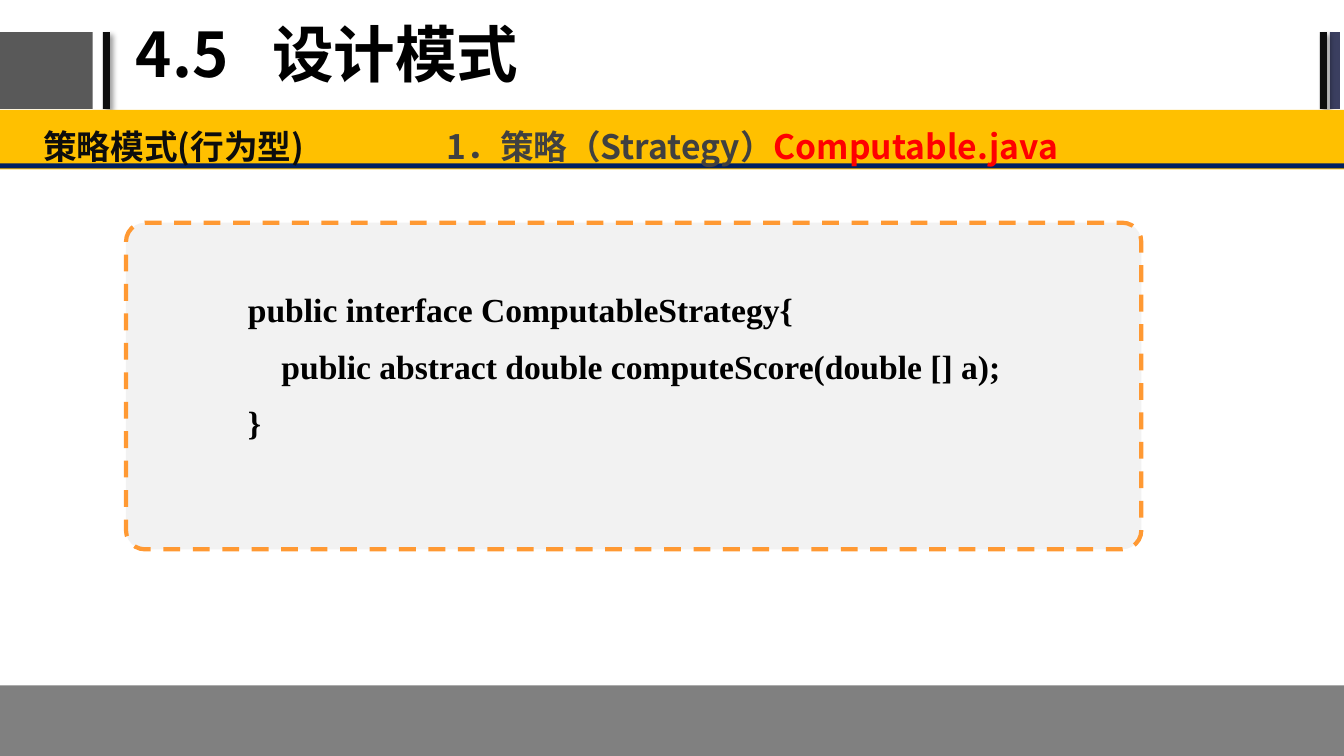
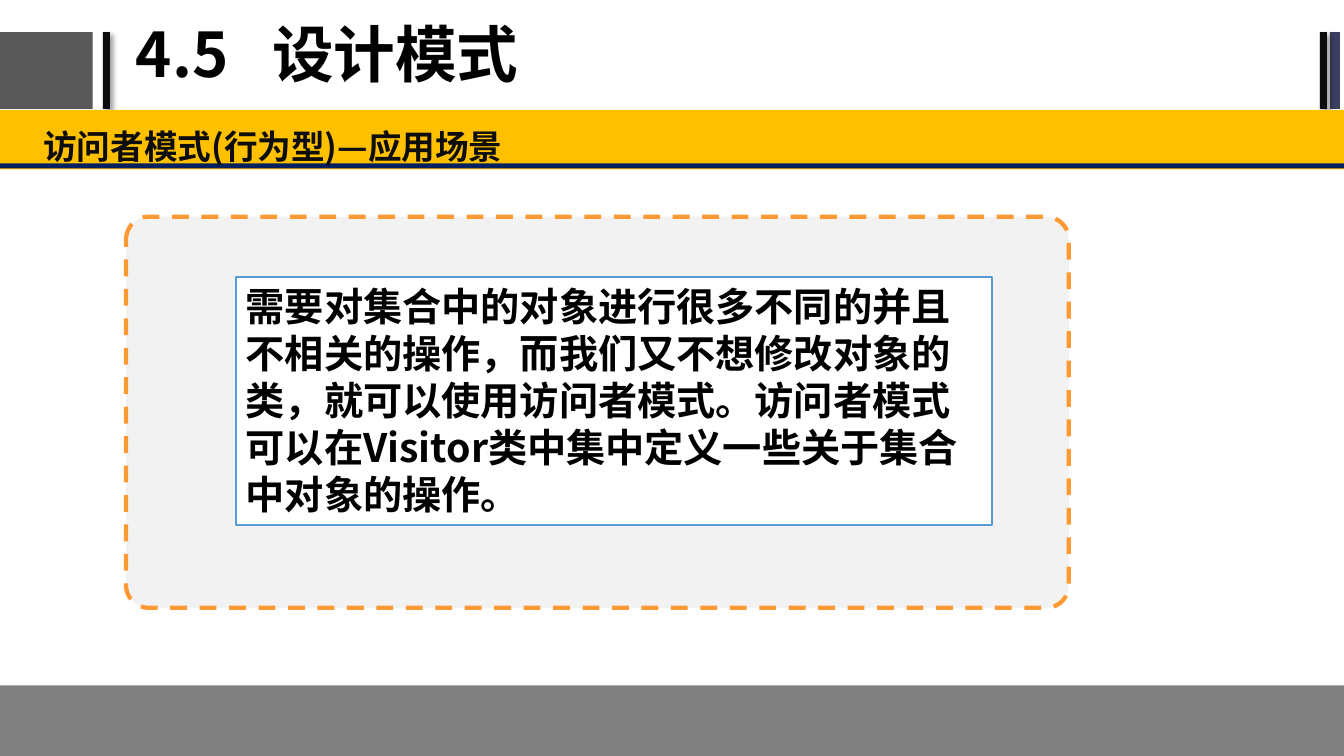
from dataclasses import dataclass

from lxml.etree import SubElement
from pptx import Presentation
from pptx.dml.color import RGBColor
from pptx.enum.dml import MSO_LINE
from pptx.enum.shapes import MSO_SHAPE
from pptx.enum.text import MSO_ANCHOR, PP_ALIGN
from pptx.oxml.ns import qn
from pptx.util import Inches, Pt

BLACK = RGBColor(0x00, 0x00, 0x00)
INK = RGBColor(0x0D, 0x0D, 0x0D)
DARK = RGBColor(0x40, 0x40, 0x40)
CHARCOAL = RGBColor(0x59, 0x59, 0x59)
SLATE = RGBColor(0x3B, 0x3F, 0x60)
GRAY = RGBColor(0x80, 0x80, 0x80)
PALE = RGBColor(0xF2, 0xF2, 0xF2)
WHITE = RGBColor(0xFF, 0xFF, 0xFF)
AMBER = RGBColor(0xFF, 0xC0, 0x00)
ORANGE = RGBColor(0xFF, 0x99, 0x33)
NAVY = RGBColor(0x00, 0x20, 0x60)
BLUE = RGBColor(0x5B, 0x9B, 0xD5)
RED = RGBColor(0xFF, 0x00, 0x00)

SANS = "Noto Sans CJK SC"
SERIF = "Times New Roman"
SLIDE_W, SLIDE_H = 13.33, 7.5


@dataclass(frozen=True)
class Box:
    left: float
    top: float
    width: float
    height: float

    def emu(self) -> list:
        return [Inches(v) for v in (self.left, self.top, self.width, self.height)]


@dataclass(frozen=True)
class Block:
    box: Box
    color: RGBColor
    shadow: bool = False


@dataclass(frozen=True)
class Span:
    text: str
    color: RGBColor = BLACK


FRAME_BLOCKS = [
    Block(Box(0, 0.32, 0.92, 0.76), CHARCOAL),
    Block(Box(1.02, 0.32, 0.07, 0.76), INK, True),
    Block(Box(13.19, 0.32, 0.1, 0.76), SLATE),
    Block(Box(13.09, 0.32, 0.07, 0.76), INK, True),
    Block(Box(0, 1.09, SLIDE_W, 0.59), AMBER),
    Block(Box(0, 1.62, SLIDE_W, 0.05), NAVY),
    Block(Box(0, 6.8, SLIDE_W, SLIDE_H - 6.8), GRAY),
]


def add_block(s, box: Box, color: RGBColor, kind=MSO_SHAPE.RECTANGLE):
    sp = s.shapes.add_shape(kind, *box.emu())
    sp.shadow.inherit = False
    sp.fill.solid()
    sp.fill.fore_color.rgb = color
    sp.line.fill.background()
    return sp


def add_shadow(sp) -> None:
    effects = sp.element.spPr.find(qn("a:effectLst"))
    outer = SubElement(effects, qn("a:outerShdw"), blurRad=str(Pt(4)),
                       dist=str(Pt(3)), dir=str(45 * 60000))
    color = SubElement(outer, qn("a:srgbClr"), val=str(BLACK))
    SubElement(color, qn("a:alpha"), val="40000")


def add_tab(p, position: float) -> None:
    tabs = SubElement(p._p.get_or_add_pPr(), qn("a:tabLst"))
    SubElement(tabs, qn("a:tab"), pos=str(Inches(position)), algn="l")


def add_spans(p, spans: list[Span], size: float, font: str = SANS) -> None:
    for span in spans:
        r = p.add_run()
        r.text = span.text
        r.font.size, r.font.bold, r.font.name = Pt(size), True, font
        r.font.color.rgb = span.color
        SubElement(r.font._element, qn("a:ea"), typeface=font)


def add_text(s, box: Box):
    tf = s.shapes.add_textbox(*box.emu()).text_frame
    tf.word_wrap = True
    return tf


def add_base(prs, heading: list[Span]):
    """Slide with the shared frame, title and heading band."""
    s = prs.slides.add_slide(prs.slide_layouts[6])
    for block in FRAME_BLOCKS:
        sp = add_block(s, block.box, block.color)
        if block.shadow:
            add_shadow(sp)

    # Title
    tf = add_text(s, Box(1.25, 0.02, 8.47, 1.1))
    tf.vertical_anchor = MSO_ANCHOR.MIDDLE
    p = tf.paragraphs[0]
    p.line_spacing = 0.9
    add_tab(p, 1.35)
    add_spans(p, [Span("4.5\t设计模式")], 44)

    # Heading in the band
    tf = add_text(s, Box(0.3, 1.1, 13, 0.58))
    tf.margin_left = tf.margin_right = Inches(0.13)
    tf.margin_top = tf.margin_bottom = Inches(0.07)
    p = tf.paragraphs[0]
    p.line_spacing = 1.2
    add_tab(p, 4)
    add_spans(p, heading, 24)
    return s


def add_panel(s, box: Box) -> None:
    sp = add_block(s, box, PALE, MSO_SHAPE.ROUNDED_RECTANGLE)
    sp.adjustments[0] = 0.058
    sp.line.color.rgb = ORANGE
    sp.line.width = Pt(3)
    sp.line.dash_style = MSO_LINE.DASH


def build_strategy(prs) -> None:
    s = add_base(prs, [Span("策略模式(行为型)\t", INK),
                       Span("1．策略（Strategy）", DARK),
                       Span("Computable.java", RED)])
    add_panel(s, Box(1.25, 2.21, 10.07, 3.24))

    # Code listing
    code = ["public interface ComputableStrategy{",
            "    public abstract double computeScore(double [] a);",
            "}"]
    tf = add_text(s, Box(2.36, 2.85, 8.61, 1.66))
    for i, line in enumerate(code):
        p = tf.add_paragraph() if i else tf.paragraphs[0]
        p.alignment = PP_ALIGN.JUSTIFY
        p.line_spacing = 0.95
        if i:
            p.space_before = Pt(13)
        add_spans(p, [Span(line)], 24, SERIF)


def build_visitor(prs) -> None:
    s = add_base(prs, [Span("访问者模式(行为型)—应用场景", INK)])
    add_panel(s, Box(1.25, 2.15, 9.35, 3.88))

    # Usage note
    sp = add_block(s, Box(2.34, 2.75, 7.5, 2.46), WHITE)
    sp.line.color.rgb = BLUE
    sp.line.width = Pt(1)
    tf = sp.text_frame
    tf.word_wrap = True
    tf.vertical_anchor = MSO_ANCHOR.TOP
    p = tf.paragraphs[0]
    p.alignment = PP_ALIGN.LEFT
    add_spans(p, [Span("需要对集合中的对象进行很多不同的并且不相关的操作，"
                       "而我们又不想修改对象的类，就可以使用访问者模式。"
                       "访问者模式可以在Visitor类中集中定义一些关于集合中对象的操作。")], 28)


def main() -> None:
    prs = Presentation()
    prs.slide_width, prs.slide_height = Inches(SLIDE_W), Inches(SLIDE_H)
    build_strategy(prs)
    build_visitor(prs)
    prs.save("out.pptx")


if __name__ == "__main__":
    main()
